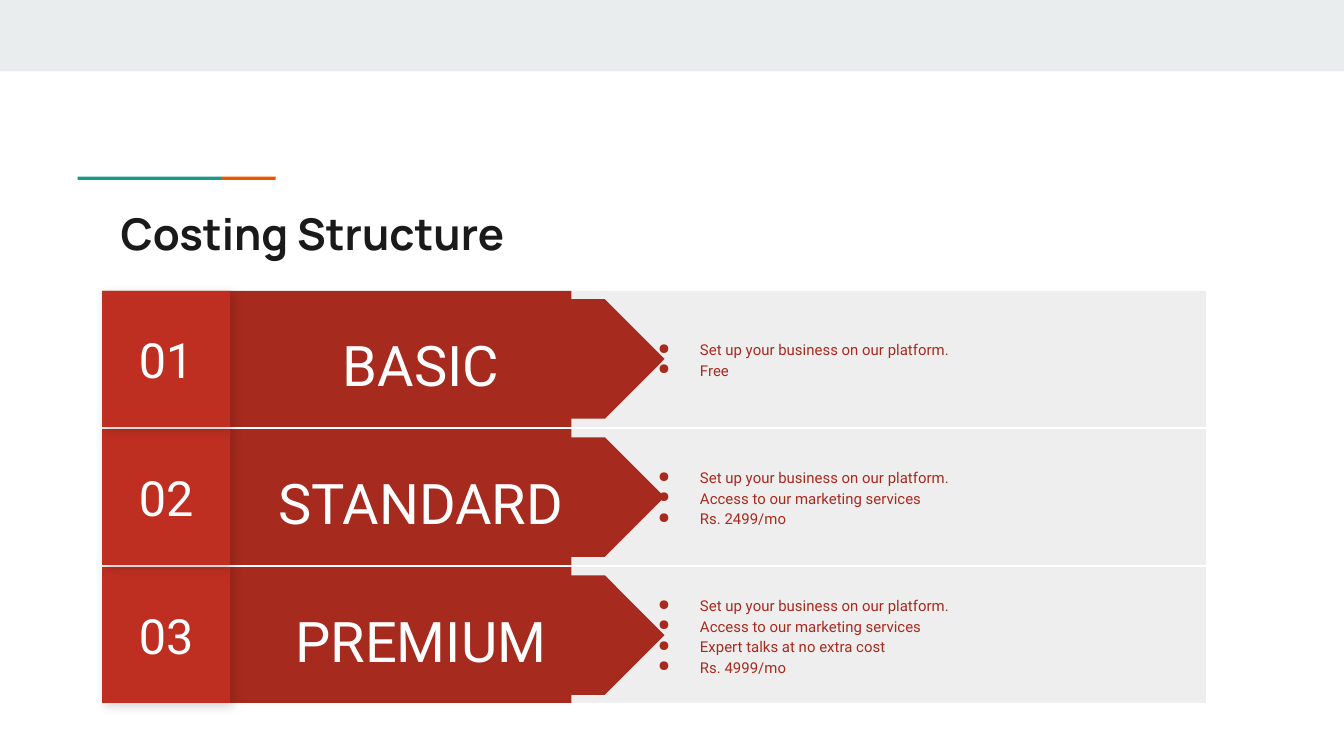
from lxml import etree
from pptx import Presentation
from pptx.dml.color import RGBColor
from pptx.enum.shapes import MSO_SHAPE as Shape
from pptx.enum.text import MSO_ANCHOR as Anchor, PP_ALIGN as Align
from pptx.oxml import parse_xml
from pptx.oxml.ns import nsdecls, qn
from pptx.util import Cm, Pt

BAND = RGBColor(0xE9, 0xED, 0xEE)
TEAL = RGBColor(0x1A, 0x99, 0x88)
ORANGE = RGBColor(0xEB, 0x56, 0x00)
PANEL = RGBColor(0xEE, 0xEE, 0xEE)
DARK_RED = RGBColor(0xA7, 0x2A, 0x1E)
SHADOW_RED = RGBColor(0xB0, 0x2C, 0x20)
RED = RGBColor(0xBE, 0x2F, 0x22)
INK = RGBColor(0x1A, 0x1A, 0x1A)
WHITE = RGBColor(0xFF, 0xFF, 0xFF)

# Row grid, in centimetres
ROW_TOP, ROW_PITCH, ROW_HEIGHT = 5.5, 2.61, 2.57
ARROW_CENTER, ARROW_WIDTH, ARROW_LENGTH = 9.74, 2.26, 5.64

PLANS = [
    ("01", "BASIC", ["Set up your business on our platform.", "Free"]),
    ("02", "STANDARD", ["Set up your business on our platform.",
                        "Access to our marketing services", "Rs. 2499/mo"]),
    ("03", "PREMIUM", ["Set up your business on our platform.",
                       "Access to our marketing services",
                       "Expert talks at no extra cost", "Rs. 4999/mo"]),
]


def add_block(slide, left, top, width, height, color, kind=Shape.RECTANGLE):
    shape = slide.shapes.add_shape(kind, Cm(left), Cm(top), Cm(width), Cm(height))
    shape.shadow.inherit = False
    shape.fill.solid()
    shape.fill.fore_color.rgb = color
    shape.line.fill.background()
    return shape


def add_box(slide, left, top, width, height):
    return slide.shapes.add_textbox(Cm(left), Cm(top), Cm(width), Cm(height))


def add_bullet(paragraph, color):
    properties = paragraph._p.get_or_add_pPr()
    properties.set("marL", str(Cm(1.27)))
    properties.set("indent", str(-Cm(0.79)))
    bullet_color = etree.SubElement(properties, qn("a:buClr"))
    etree.SubElement(bullet_color, qn("a:srgbClr"), val=str(color))
    etree.SubElement(properties, qn("a:buChar"), char="●")


def write(shape, *lines, size, color, font="Roboto", bold=False, align=Align.LEFT,
          anchor=Anchor.MIDDLE, spacing=None, bullets=False):
    frame = shape.text_frame
    frame.word_wrap = True
    frame.vertical_anchor = anchor
    frame.margin_left = frame.margin_right = Cm(0.25)
    frame.margin_top = frame.margin_bottom = Cm(0.25)
    for index, line in enumerate(lines):
        paragraph = frame.add_paragraph() if index else frame.paragraphs[0]
        paragraph.alignment = align
        if spacing:
            paragraph.line_spacing = spacing
        if bullets:
            add_bullet(paragraph, color)
        run = paragraph.add_run()
        run.text = line
        run.font.name = font
        run.font.size = Pt(size)
        run.font.bold = bold
        run.font.color.rgb = color


def add_shadow(shape):
    properties = shape._element.spPr
    properties.remove(properties.find(qn("a:effectLst")))
    properties.append(parse_xml(
        f'<a:effectLst {nsdecls("a")}>'
        f'<a:outerShdw blurRad="{Pt(5.6)}" dist="{Pt(2.2)}" dir="{45 * 60000}" '
        'algn="ctr" rotWithShape="0">'
        '<a:srgbClr val="000000"><a:alpha val="17000"/></a:srgbClr>'
        '</a:outerShdw></a:effectLst>'))


def add_plan(slide, top, number, name, features):
    # Panel, name band and arrow pointing right
    add_block(slide, 9.4, top, 13.39, ROW_HEIGHT, PANEL)
    add_block(slide, 4.35, top, 6.45, ROW_HEIGHT, DARK_RED)
    arrow = add_block(slide, ARROW_CENTER - ARROW_WIDTH / 2,
                      top + (ROW_HEIGHT - ARROW_LENGTH) / 2,
                      ARROW_WIDTH, ARROW_LENGTH, DARK_RED,
                      Shape.FLOWCHART_OFFPAGE_CONNECTOR)
    arrow.rotation = 270
    write(add_box(slide, 4.55, top + 0.3, 6.81, 1.98), name,
          size=30, color=WHITE, align=Align.CENTER, spacing=1.15)

    # Number square over its shadow
    add_shadow(add_block(slide, 1.93, top, 2.42, ROW_HEIGHT, SHADOW_RED))
    write(add_block(slide, 1.93, top, 2.42, ROW_HEIGHT, RED), number,
          size=26, color=WHITE, align=Align.CENTER)

    # Features
    write(add_box(slide, 11.71, top, 10.41, ROW_HEIGHT), *features,
          size=8, color=DARK_RED, spacing=1.15, bullets=True)


def main():
    presentation = Presentation()
    presentation.slide_width = Cm(25.4)
    presentation.slide_height = Cm(14.29)
    slide = presentation.slides.add_slide(presentation.slide_layouts[6])

    # Top band and accent line
    add_block(slide, 0, 0, 25.4, 1.35, BAND)
    add_block(slide, 1.47, 3.34, 2.71, 0.06, TEAL)
    add_block(slide, 4.18, 3.34, 1.03, 0.06, ORANGE)

    # Plans, last row at the back so that each shadow falls on the row below
    for index, plan in reversed(list(enumerate(PLANS))):
        add_plan(slide, ROW_TOP + index * ROW_PITCH, *plan)

    # Title
    write(add_box(slide, 2.03, 3.66, 21.36, 1.5), "Costing Structure", size=23.4,
          color=INK, font="Manrope", bold=True, anchor=Anchor.TOP)

    presentation.save("out.pptx")


if __name__ == "__main__":
    main()
